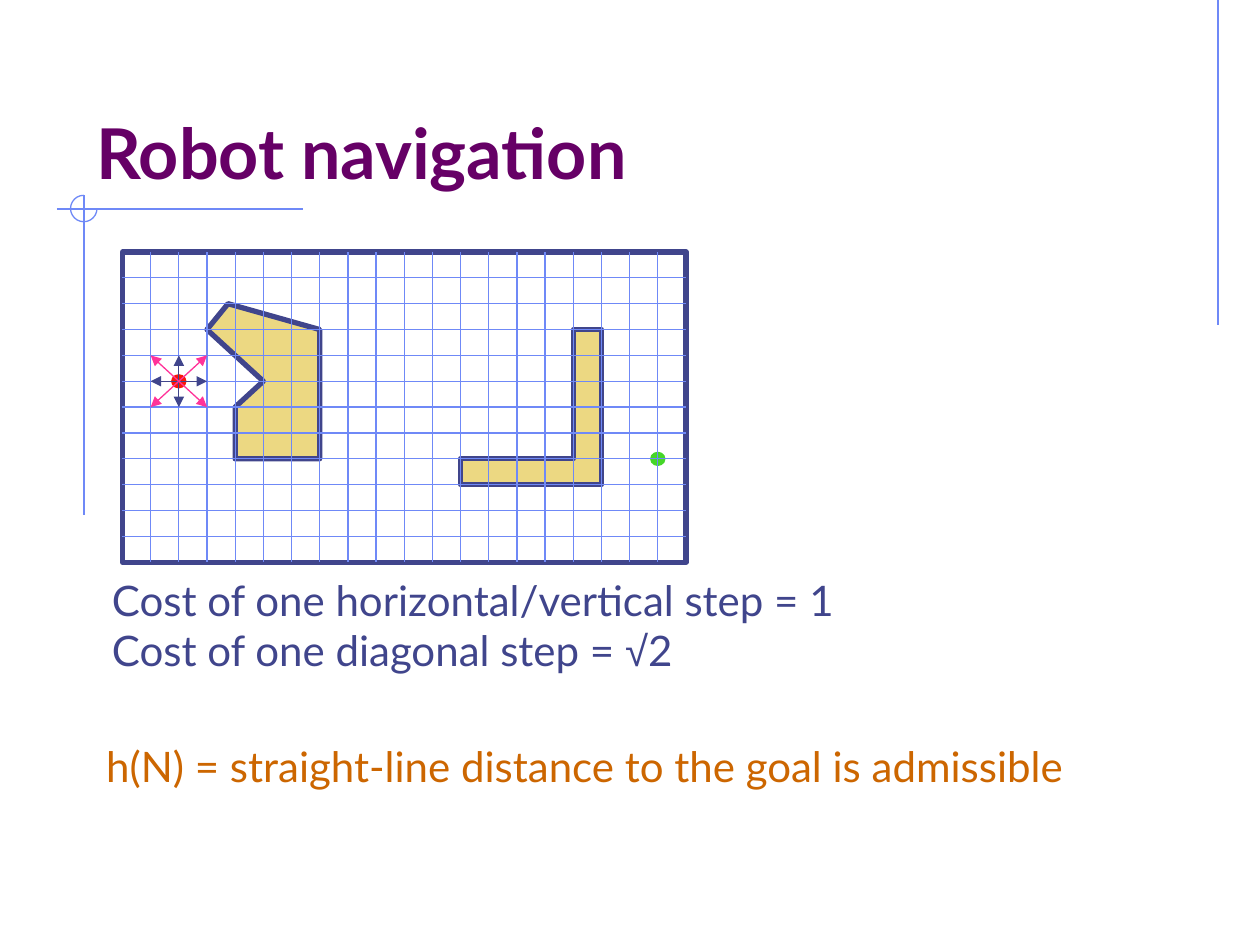
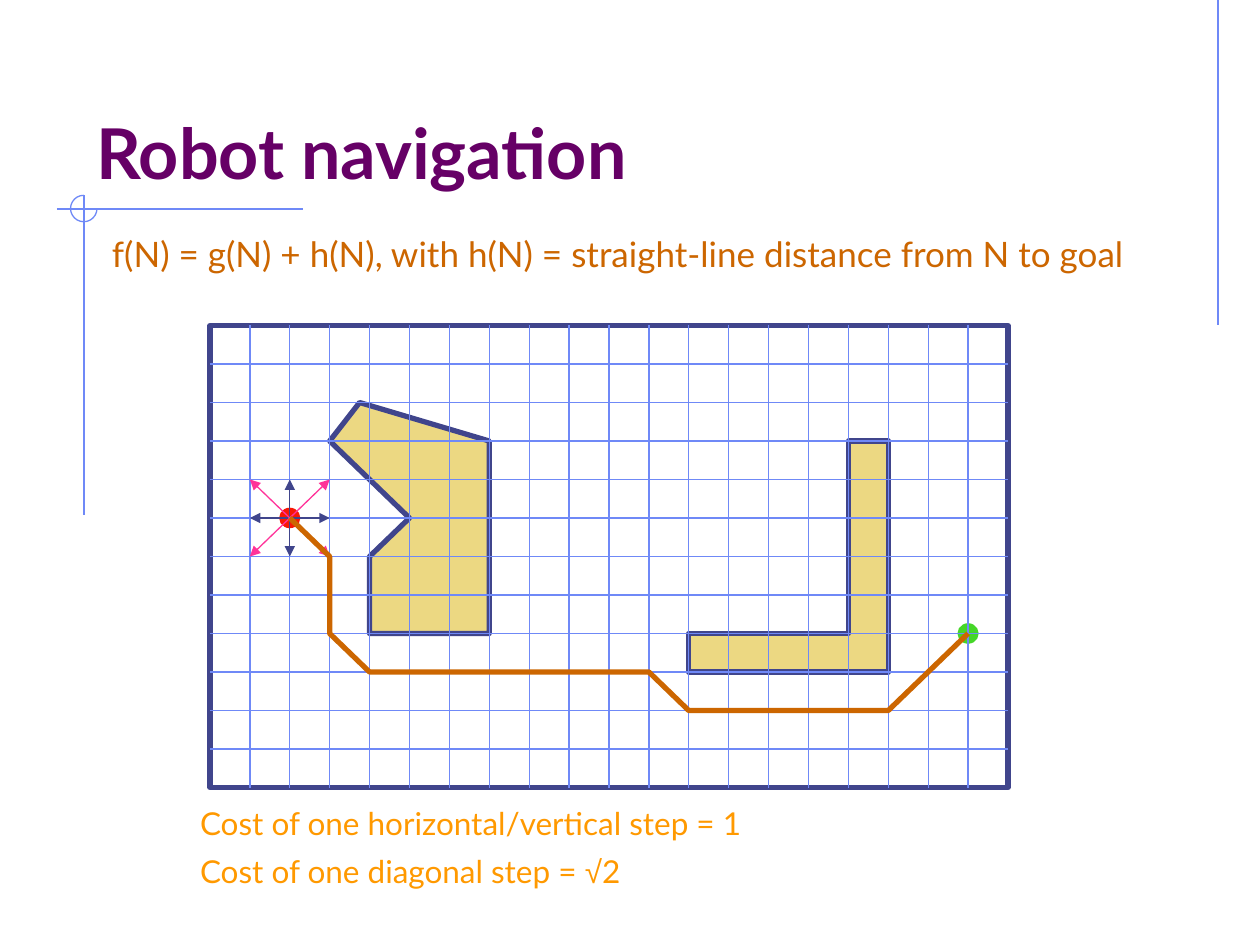
from dataclasses import dataclass
from typing import Any

from lxml.etree import SubElement as Sub
from pptx import Presentation
from pptx.dml.color import RGBColor as Rgb
from pptx.enum.shapes import MSO_CONNECTOR as Conn, MSO_SHAPE as Form
from pptx.enum.text import MSO_ANCHOR as Anchor
from pptx.oxml.ns import qn
from pptx.util import Pt

HUES = {
    "thin": "6F89F7",
    "navy": "40458C",
    "plum": "660066",
    "sand": "ECD882",
    "red": "F81706",
    "green": "45D628",
    "pink": "FF3399",
    "rust": "CC6600",
    "orange": "FF9900",
}
COLS, ROWS = 20, 12
Spot = tuple[float, float]
START: Spot = (2, 5)
GOAL: Spot = (19, 8)
HOUSE: list[Spot] = [(3, 3), (5, 5), (4, 6), (4, 8), (7, 8), (7, 3), (3.75, 2)]
ELL: list[Spot] = [(12, 8), (12, 9), (17, 9), (17, 3), (16, 3), (16, 8)]
ROUTE: list[Spot] = [START, (3, 6), (3, 8), (4, 9), (11, 9), (12, 10), (17, 10), GOAL]
COSTS = [
    ("Cost of one horizontal/vertical step = 1",),
    ("Cost of one diagonal step = ", "√", "2"),
]


@dataclass
class Grid:
    left: float
    top: float
    wide: float
    high: float

    def at(self, spot: Spot) -> Spot:
        col, row = spot
        return self.left + col * self.wide / COLS, self.top + row * self.high / ROWS


@dataclass
class Label:
    left: float
    top: float
    wide: float
    high: float
    size: float
    hue: str
    lines: list[tuple[str, ...]]
    bold: bool = False
    gap: float = 0
    anchor: Any = Anchor.TOP


@dataclass
class Move:
    tail: Spot
    head: Spot
    hue: str
    both: bool = True


MOVES = [
    Move((0, 0), (0, -1), "navy", False),
    Move((0, 0), (0, 1), "navy", False),
    Move((-1, 0), (1, 0), "navy"),
    Move((1, -1), (-1, 1), "pink"),
    Move((-1, -1), (1, 1), "pink"),
]
FRAME = [((696, 0), (696, 186)), ((32.5, 119.4), (173, 119.4)), ((48, 111.6), (48, 294.5))]
TITLE = Label(48, 24, 612, 90, 40, "plum", [("Robot navigation",)], True, anchor=Anchor.BOTTOM)


def put(thing: Any, values: dict[str, Any]) -> None:
    for name, value in values.items():
        setattr(thing, name, value)


def tint(hue: str) -> Rgb:
    return Rgb.from_string(HUES[hue])


def style(shape: Any, edge: str, width: float, fill: str = "") -> None:
    shape.shadow.inherit = False
    if fill:
        shape.fill.solid()
        shape.fill.fore_color.rgb = tint(fill)
    else:
        shape.fill.background()
    shape.line.color.rgb = tint(edge)
    shape.line.width = Pt(width)


def line(slide: Any, tail: Spot, head: Spot, hue: str, ends: tuple[str, ...] = ()) -> None:
    link = slide.shapes.add_connector(Conn.STRAIGHT, *map(Pt, tail + head))
    link.line.color.rgb = tint(hue)
    link.line.width = Pt(0.75)
    props = link._element.spPr
    for end in ends:
        Sub(props.find(qn("a:ln")), qn(f"a:{end}"), type="triangle")
    Sub(props, qn("a:effectLst"))


def shape(slide: Any, form: Any, box: tuple[float, ...], edge: str, width: float, fill: str = "") -> Any:
    item = slide.shapes.add_shape(form, *map(Pt, box))
    style(item, edge, width, fill)
    return item


def trace(slide: Any, grid: Grid, spots: list[Spot], edge: str, fill: str = "") -> None:
    first, *rest = [tuple(map(Pt, grid.at(spot))) for spot in spots]
    pen = slide.shapes.build_freeform(*first)
    pen.add_line_segments(rest, close=bool(fill))
    style(pen.convert_to_shape(), edge, 3, fill)


def dot(slide: Any, grid: Grid, spot: Spot, hue: str) -> None:
    x, y = grid.at(spot)
    wide, high = grid.wide / COLS / 2, grid.high / ROWS / 2
    shape(slide, Form.OVAL, (x - wide / 2, y - high / 2, wide, high), hue, 0.75, hue)


def write(slide: Any, label: Label) -> None:
    box = slide.shapes.add_textbox(*map(Pt, (label.left, label.top, label.wide, label.high)))
    frame = box.text_frame
    put(frame, {"word_wrap": True, "vertical_anchor": label.anchor})
    for rank, parts in enumerate(label.lines):
        para = frame.add_paragraph() if rank else frame.paragraphs[0]
        if rank:
            para.space_before = Pt(label.gap)
        for part in parts:
            run = para.add_run()
            run.text = part
            face = "Arial" if part == "√" else "Lato"
            put(run.font, {"name": face, "size": Pt(label.size), "bold": label.bold})
            run.font.color.rgb = tint(label.hue)


def base(deck: Any) -> Any:
    slide = deck.slides.add_slide(deck.slide_layouts[6])
    for tail, head in FRAME:
        line(slide, tail, head, "thin")
    arc = shape(slide, Form.ARC, (40.3, 111.6, 15.1, 15.1), "thin", 0.75)
    arc.adjustments[0] = 0
    arc.adjustments[1] = 162
    write(slide, TITLE)
    return slide


def world(slide: Any, grid: Grid) -> None:
    shape(slide, Form.RECTANGLE, (grid.left, grid.top, grid.wide, grid.high), "navy", 3)
    trace(slide, grid, HOUSE, "navy", "sand")
    dot(slide, grid, START, "red")
    trace(slide, grid, ELL, "navy", "sand")
    dot(slide, grid, GOAL, "green")
    for row in range(1, ROWS):
        line(slide, grid.at((0, row)), grid.at((COLS, row)), "thin")
    for col in range(1, COLS):
        line(slide, grid.at((col, 0)), grid.at((col, ROWS)), "thin")
    for move in MOVES:
        tail, head = (
            grid.at((START[0] + x, START[1] + y)) for x, y in (move.tail, move.head)
        )
        ends = ("headEnd", "tailEnd") if move.both else ("tailEnd",)
        line(slide, tail, head, move.hue, ends)


def main() -> None:
    deck = Presentation()
    put(deck, {"slide_width": Pt(720), "slide_height": Pt(540)})

    slide = base(deck)
    world(slide, Grid(70, 144, 322, 177.3))
    write(slide, Label(56.9, 324.7, 460, 64.8, 24, "navy", COSTS))
    goal = [("h(N) = straight-line distance to the goal is admissible",)]
    write(slide, Label(53.6, 419.8, 610, 36, 24, "rust", goal))

    slide = base(deck)
    write(slide, Label(107.2, 456, 350, 57.6, 18, "orange", COSTS, gap=6))
    grid = Grid(120, 186, 456, 264)
    world(slide, grid)
    trace(slide, grid, ROUTE, "rust")
    rule = [("f(N) = g(N) + h(N), with h(N) = straight-line distance from N to goal",)]
    write(slide, Label(56.9, 129.6, 640, 31.7, 20, "rust", rule))

    deck.save("out.pptx")


if __name__ == "__main__":
    main()
